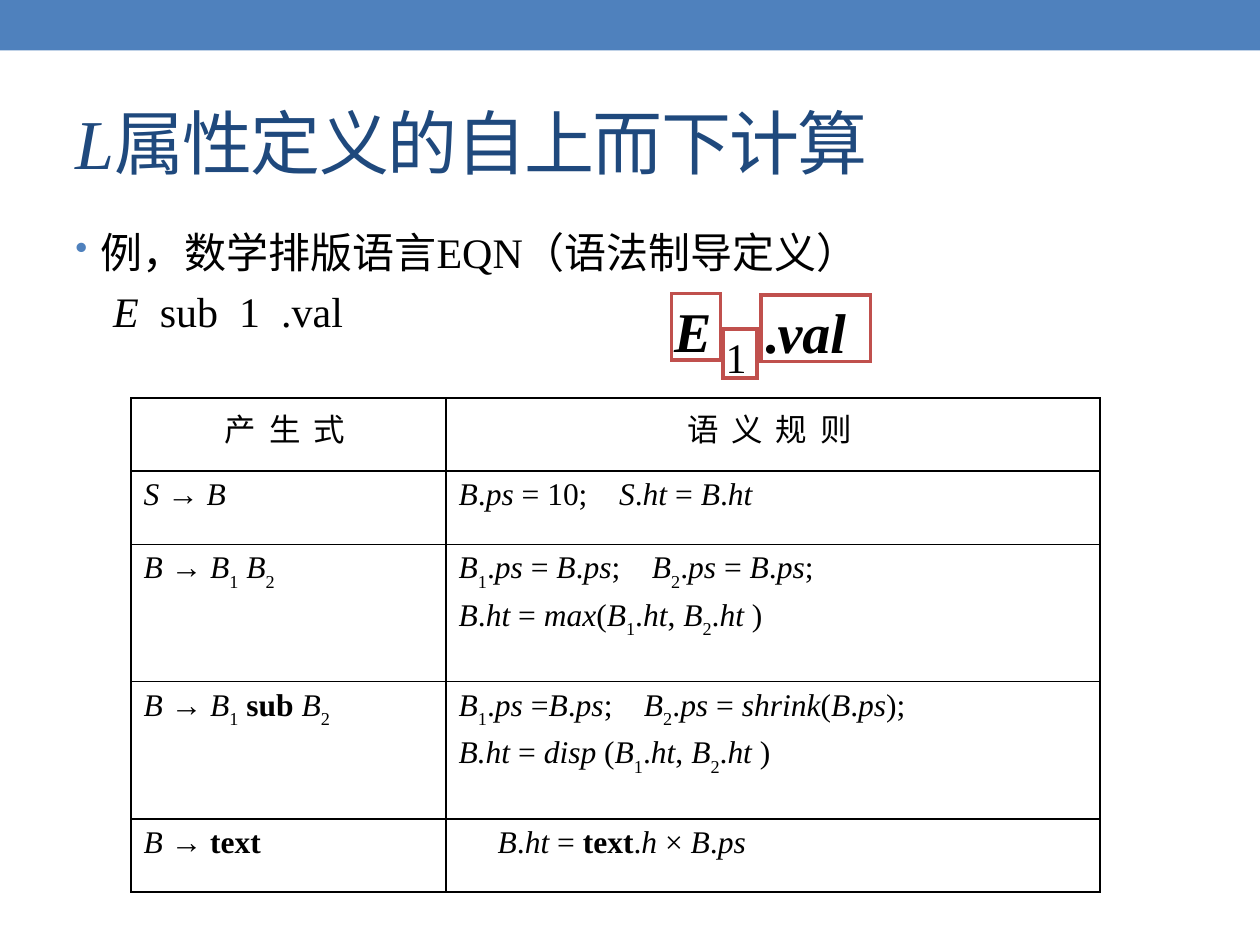
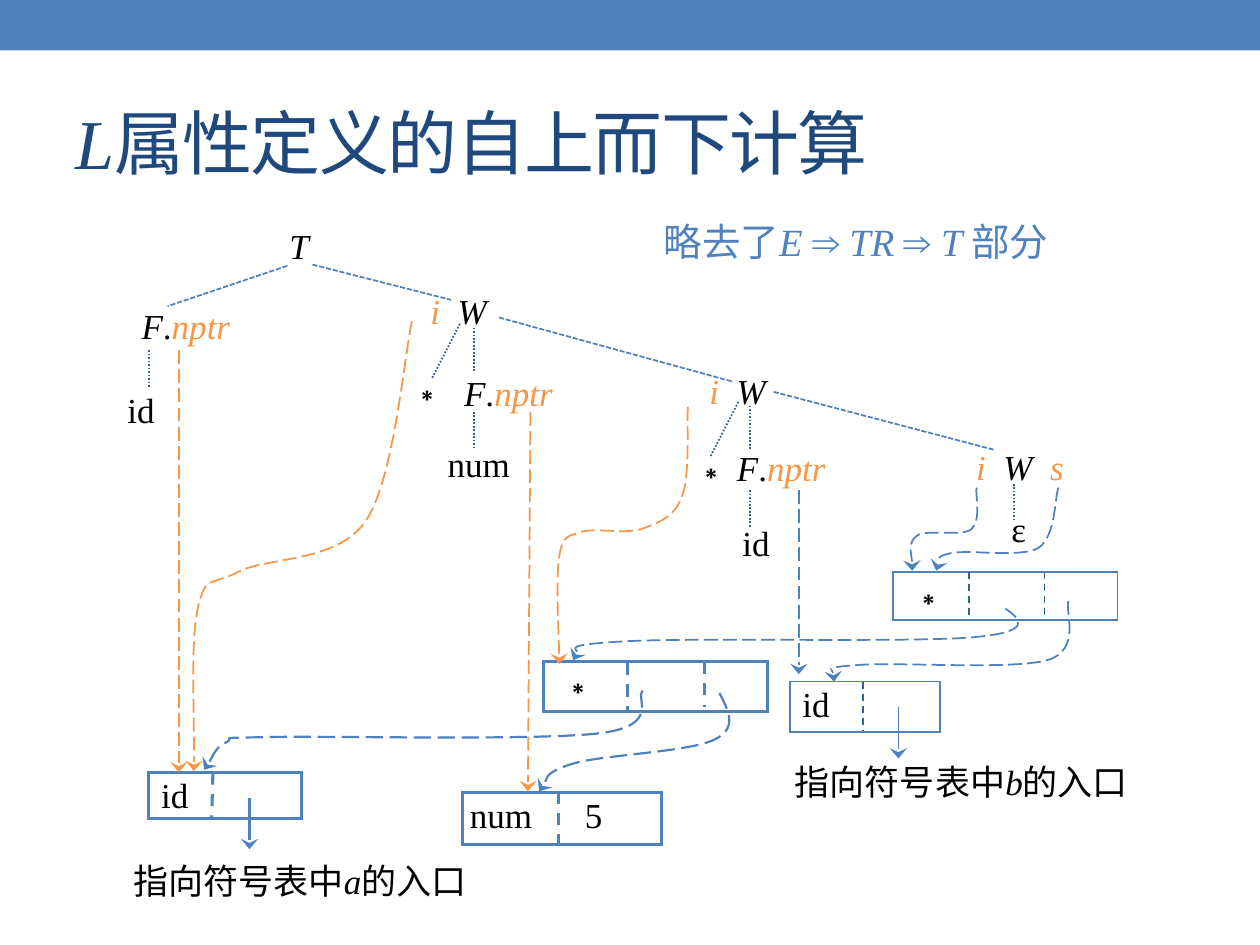
from lxml.etree import SubElement
from pptx import Presentation
from pptx.dml.color import RGBColor
from pptx.enum.dml import MSO_LINE as DASH
from pptx.enum.shapes import MSO_CONNECTOR as CONN, MSO_SHAPE as SHAPE
from pptx.enum.text import MSO_ANCHOR as ANCHOR, PP_ALIGN as ALIGN
from pptx.oxml.ns import qn
from pptx.util import Emu, Pt

PX = 9144  # 100 px to the inch
COLORS = {name: RGBColor.from_string(value) for name, value in {
    "blue": "4F81BD", "navy": "1F497D", "steel": "3A5F8C", "red": "C0504D",
    "orange": "F79646", "black": "000000", "white": "FFFFFF"}.items()}
MARKS = ["/", "#", "~", "@", "_"]
TITLE = "/L/属性定义的自上而下计算"


def write(p, markup, size, color="black", gap=1, spacing=0):
    """Add runs: / italic, # bold, ~ subscript, @ orange toggle; _ is a space widened by gap spaces."""
    on = set()
    for mark in MARKS:
        markup = markup.replace(mark, f"\n{mark}\n")
    for piece in markup.split("\n"):
        if piece in MARKS[:-1]:
            on ^= {piece}
        elif piece:
            r = p.add_run()
            r.text = " " if piece == "_" else piece
            values = {"size": Pt(size), "name": "Times New Roman", "italic": "/" in on, "bold": "#" in on}
            for key, value in values.items():
                setattr(r.font, key, value)
            r.font.color.rgb = COLORS["orange" if "@" in on else color]
            rPr = r.font._element
            SubElement(rPr, qn("a:ea"), typeface="Noto Sans CJK SC")
            if "~" in on:
                rPr.set("baseline", "-30000")
            extra = gap * size * 25 if piece == "_" else spacing
            if extra:
                rPr.set("spc", str(int(extra)))


def stroke(sp, color, width=1, dash=None, arrow=False):
    sp.line.color.rgb = COLORS[color]
    sp.line.width = Pt(width)
    if dash:
        sp.line.dash_style = dash
    spPr = sp._element.spPr
    ln = spPr.find(qn("a:ln"))
    SubElement(ln, qn("a:miter"), lim="800000")
    if arrow:
        SubElement(ln, qn("a:tailEnd"), type="stealth", w="lg", len="med")
    if spPr.find(qn("a:effectLst")) is None:
        SubElement(spPr, qn("a:effectLst"))


prs = Presentation()
prs.slide_width, prs.slide_height = Emu(1000 * PX), Emu(750 * PX)

# Shared band and title
slides = []
for _ in range(2):
    s = prs.slides.add_slide(prs.slide_layouts[6])
    band = s.shapes.add_shape(SHAPE.RECTANGLE, 0, 0, 1000 * PX, 40 * PX)
    band.shadow.inherit = False
    band.fill.solid()
    band.fill.fore_color.rgb = COLORS["blue"]
    band.line.fill.background()
    tf = s.shapes.add_textbox(50 * PX, 58 * PX, 900 * PX, 108 * PX).text_frame
    tf.word_wrap = True
    tf.vertical_anchor = ANCHOR.MIDDLE
    write(tf.paragraphs[0], TITLE, 40, "navy", spacing=-90)
    slides.append(s)
rules_slide, tree_slide = slides

# Slide 1: example
tf = rules_slide.shapes.add_textbox(50 * PX, 175 * PX, 900 * PX, 533 * PX).text_frame
tf.word_wrap = True
p = tf.paragraphs[0]
pPr = p._p.get_or_add_pPr()
pPr.set("marL", str(20 * PX))
pPr.set("indent", str(-20 * PX))
SubElement(SubElement(pPr, qn("a:buClr")), qn("a:srgbClr"), val=str(COLORS["blue"]))
SubElement(pPr, qn("a:buSzPct"), val="85000")
SubElement(pPr, qn("a:buChar"), char="•")
write(p, "例，数学排版语言EQN（语法制导定义）", 24)
p = tf.add_paragraph()
p._p.get_or_add_pPr().set("marL", str(30 * PX))
p.space_before = Pt(4.8)
write(p, "/E/_sub_1_.val", 24)

# Slide 1: typeset boxes
for x, y, w, h, text, size in [
        (533, 233, 39, 53, "#/E/#", 32),
        (574, 261, 27, 39, "1", 24),
        (604, 234, 87, 53, "#./val/#", 32)]:
    sp = rules_slide.shapes.add_shape(SHAPE.RECTANGLE, x * PX, y * PX, w * PX, h * PX)
    sp.shadow.inherit = False
    sp.fill.background()
    stroke(sp, "red", 2)
    tf = sp.text_frame
    tf.margin_left = tf.margin_right = tf.margin_top = tf.margin_bottom = 2 * PX
    tf.vertical_anchor = ANCHOR.TOP
    tf.paragraphs[0].alignment = ALIGN.JUSTIFY
    write(tf.paragraphs[0], text, size)

# Slide 1: productions and semantic rules
rules = [
    (["产_生_式 "], ["语_义_规_则 "]),
    (["/S /→/ B/"], ["/B/./ps/ = 10;_/S/./ht/ = /B/./ht/"]),
    (["/B /→/ B/~1~/ B/~2~"],
     ["/B/~1~./ps/ = /B/./ps/;_/B/~2~./ps/ = /B/./ps/;",
      "/B/./ht/ = /max/(/B/~1~./ht/, /B/~2~./ht /)"]),
    (["/B /→/ B/~1~ #sub #/B/~2~"],
     ["/B/~1~./ps/ =/B/./ps/;_/B/~2~./ps/ = /shrink/(/B/./ps/);",
      "/B.ht/ = /disp/ (/B/~1~./ht/, /B/~2~./ht /)"]),
    (["/B /→ #text#"], ["/B/./ht/ = #text#./h /×/ B/./ps/"]),
]
table = rules_slide.shapes.add_table(5, 2, 104 * PX, 316 * PX, 769 * PX, 392 * PX).table
table.first_row = table.horz_banding = False
for col, width in zip(table.columns, (250, 519)):
    col.width = Emu(width * PX)
for row, height in zip(table.rows, (58, 58, 109, 109, 58)):
    row.height = Emu(height * PX)
for i, row in enumerate(rules):
    for j, lines in enumerate(row):
        cell = table.cell(i, j)
        tcPr = cell._tc.get_or_add_tcPr()
        for side in ("lnL", "lnR", "lnT", "lnB"):
            ln = SubElement(tcPr, qn(f"a:{side}"), w=str(Pt(1)))
            fill = SubElement(ln, qn("a:solidFill"))
            SubElement(fill, qn("a:srgbClr"), val=str(COLORS["black"]))
        cell.fill.background()
        tf = cell.text_frame
        for n, line in enumerate(lines):
            p = tf.add_paragraph() if n else tf.paragraphs[0]
            if n:
                p.space_before = Pt(3.6)
            if i == 0:
                p.alignment = ALIGN.CENTER
            write(p, line, 18, gap=3 if i else 0.75)
table.cell(4, 1).text_frame.paragraphs[0]._p.get_or_add_pPr().set("marL", str(31 * PX))

# Slide 2: records
for x, y, w, h, width, inset, text in [
        (118, 613, 121, 37, 1.75, 10, "id"),
        (627, 541, 119, 40, 1, 10, "id"),
        (367, 629, 158, 41, 1.75, 6, "num_5"),
        (709, 454, 178, 38, 1, 14, "∗"),
        (431, 525, 178, 40, 1.75, 14, "∗")]:
    sp = tree_slide.shapes.add_shape(SHAPE.RECTANGLE, x * PX, y * PX, w * PX, h * PX)
    sp.shadow.inherit = False
    sp.fill.background()
    stroke(sp, "blue", width)
    tf = sp.text_frame
    tf.margin_left, tf.margin_right = inset * PX, 2 * PX
    tf.margin_top = tf.margin_bottom = PX
    tf.vertical_anchor = ANCHOR.TOP
    tf.paragraphs[0].alignment = ALIGN.LEFT
    write(tf.paragraphs[0], text, 20, gap=5)

# Slide 2: tree nodes and captions
F_NODE = "/F/.@/nptr/@"
for x, y, w, h, text in [
        (221, 177, 33, 34, "/T/"),
        (351, 294, 105, 34, F_NODE),
        (95, 241, 105, 30, F_NODE),
        (566, 353, 108, 38, F_NODE),
        (85, 307, 54, 36, "id"),
        (582, 413, 36, 33, "id"),
        (342, 350, 76, 28, "num"),
        (320, 292, 38, 28, "∗"),
        (547, 354, 35, 30, "∗"),
        (328, 229, 72, 32, "/@i@_W/"),
        (544, 292, 83, 31, "/@i@_W/"),
        (765, 353, 89, 33, "/@i@_W_@s@/"),
        (796, 402, 25, 28, "ε"),
        (57, 681, 362, 33, "指向符号表中/a/的入口"),
        (582, 603, 362, 34, "指向符号表中/b/的入口")]:
    tf = tree_slide.shapes.add_textbox(x * PX, y * PX, w * PX, h * PX).text_frame
    tf.word_wrap = True
    tf.margin_left = tf.margin_right = 2 * PX
    tf.margin_top = tf.margin_bottom = PX
    tf.paragraphs[0].alignment = ALIGN.CENTER
    write(tf.paragraphs[0], text, 20)

tf = tree_slide.shapes.add_textbox(517 * PX, 154 * PX, 480 * PX, 75 * PX).text_frame
tf.word_wrap = True
tf.vertical_anchor = ANCHOR.MIDDLE
write(tf.paragraphs[0], "略去了/E /⇒ /TR /⇒ /T /部分", 22, "blue")

# Slide 2: straight lines, grouped by style
line_groups = [
    (("steel", 1, DASH.ROUND_DOT), [
        (118, 278, 118, 308), (376, 327, 376, 357), (595, 389, 595, 419),
        (376, 260, 376, 295), (595, 322, 595, 356), (586, 319, 564, 362),
        (365, 257, 343, 300), (805, 384, 805, 414)]),
    (("blue", 1, DASH.SQUARE_DOT), [
        (248, 210, 358, 238), (396, 252, 582, 303), (614, 311, 789, 357), (228, 211, 133, 243)]),
    (("blue", 1.75, DASH.DASH), [
        (169, 613, 168, 650), (443, 628, 443, 670), (498, 526, 498, 565), (559, 525, 559, 561)]),
    (("steel", 1, DASH.DASH), [
        (685, 541, 685, 580), (769, 454, 769, 492), (829, 454, 829, 492)]),
    (("blue", 1.75, None, True), [(198, 633, 198, 674)]),
    (("blue", 1, None, True), [(713, 561, 713, 602)]),
    (("orange", 1, DASH.LONG_DASH, True), [(142, 278, 142, 613), (421, 327, 419, 628)]),
    (("blue", 1, DASH.LONG_DASH, True), [(634, 389, 634, 535)]),
]
for style, lines in line_groups:
    for line in lines:
        cxn = tree_slide.shapes.add_connector(CONN.STRAIGHT, *(v * PX for v in line))
        stroke(cxn, *style)

# Slide 2: pointer curves as a start point, then cubic Bézier triples
curves = [
    ("orange", 1, [(546, 323), (545, 335), (548, 379), (541, 395), (535, 411), (522, 415), (509, 420),
                   (496, 424), (473, 419), (462, 422), (451, 426), (447, 424), (444, 441),
                   (441, 459), (444, 512), (444, 527)]),
    ("blue", 1, [(775, 387), (774, 392), (779, 413), (771, 420), (764, 426), (736, 420), (728, 425),
                 (720, 431), (725, 447), (724, 453)]),
    ("blue", 1, [(840, 387), (837, 395), (838, 426), (824, 435), (810, 443), (769, 436), (755, 439),
                 (742, 442), (745, 450), (743, 453)]),
    ("blue", 1.25, [(510, 548), (504, 554), (525, 576), (476, 582), (427, 588), (264, 584), (215, 585),
                    (166, 586), (188, 585), (180, 589), (171, 593), (166, 607), (162, 611)]),
    ("blue", 1.25, [(571, 550), (578, 564), (586, 578), (567, 587), (547, 597), (478, 599), (455, 606),
                    (432, 613), (432, 625), (428, 628)]),
    ("blue", 1, [(798, 483), (811, 492), (820, 502), (770, 506), (720, 510), (548, 506), (496, 509),
                 (443, 512), (464, 521), (455, 524)]),
    ("blue", 1, [(848, 477), (845, 485), (859, 516), (831, 524), (802, 532), (707, 525), (679, 528),
                 (651, 530), (665, 538), (662, 541)]),
    ("orange", 1, [(327, 255), (321, 281), (313, 381), (290, 414), (267, 447), (211, 442), (189, 454),
                   (167, 465), (163, 456), (157, 483), (151, 509), (155, 585), (154, 612)]),
]
for color, width, pts in curves:
    builder = tree_slide.shapes.build_freeform(*pts[0], scale=PX)
    builder.add_line_segments(pts[1:], close=False)
    sp = builder.convert_to_shape()
    outline = next(sp._element.iter(qn("a:path")))
    segments = outline.findall(qn("a:lnTo"))
    for k in range(0, len(segments), 3):
        bezier = SubElement(outline, qn("a:cubicBezTo"))
        for segment in segments[k:k + 3]:
            bezier.append(segment[0])
            outline.remove(segment)
    sp.shadow.inherit = False
    sp.fill.background()
    stroke(sp, color, width, DASH.LONG_DASH, True)

prs.save("out.pptx")
